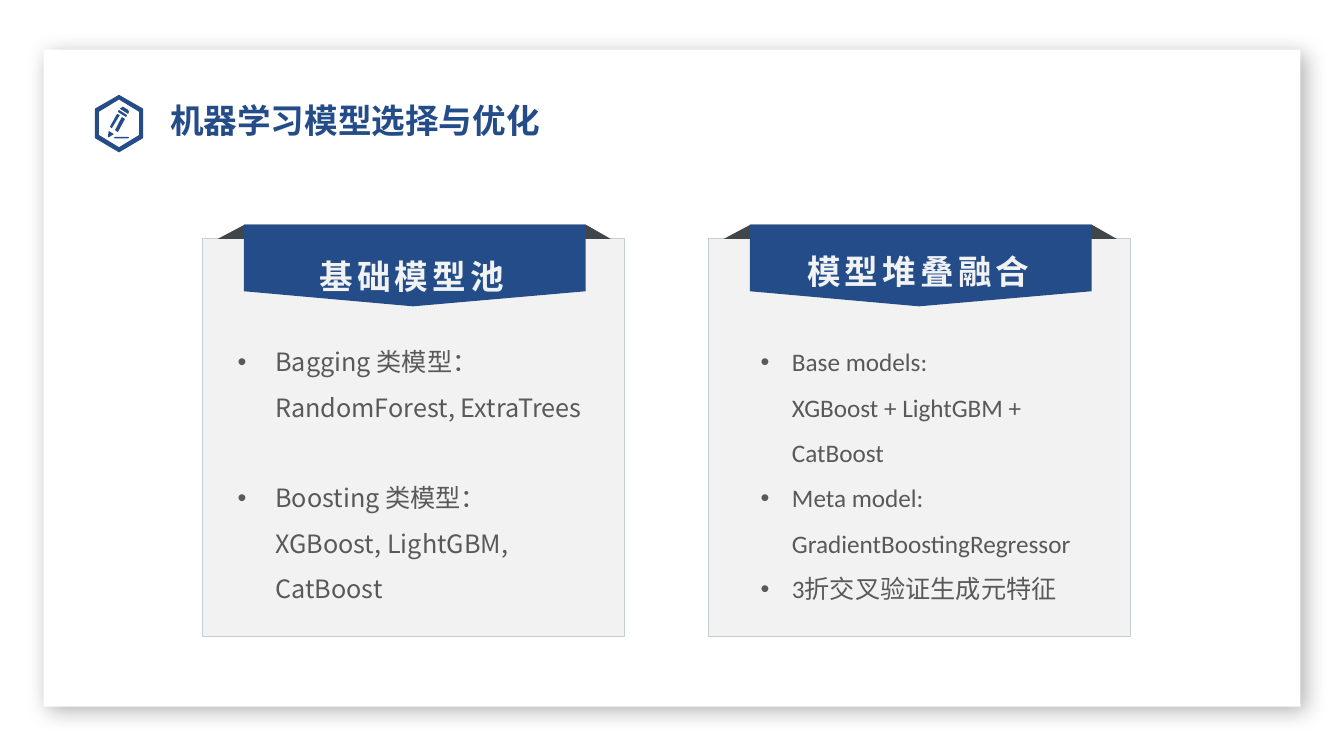
from dataclasses import dataclass

from lxml import etree
from pptx import Presentation
from pptx.dml.color import RGBColor
from pptx.enum.shapes import MSO_SHAPE
from pptx.enum.text import MSO_AUTO_SIZE, PP_ALIGN
from pptx.oxml.ns import qn
from pptx.shapes.autoshape import Shape
from pptx.shapes.shapetree import GroupShapes, SlideShapes
from pptx.text.text import TextFrame
from pptx.util import Cm, Pt

RECTANGLE = MSO_SHAPE.RECTANGLE
JUSTIFY = PP_ALIGN.JUSTIFY
LEFT = PP_ALIGN.LEFT
GROW = MSO_AUTO_SIZE.SHAPE_TO_FIT_TEXT
FIXED = MSO_AUTO_SIZE.NONE

Shapes = SlideShapes | GroupShapes
Point = tuple[float, float]


@dataclass(frozen=True)
class Theme:
    white: str = "FFFFFF"
    blue: str = "244C89"
    fold: str = "41464A"
    card: str = "F2F2F2"
    edge: str = "C6CED5"
    heading: str = "F0F2F4"
    body: str = "595959"
    heading_size: int = 24
    body_size: int = 18
    chinese: str = "Noto Sans CJK SC"
    latin: str = "Calibri"
    title: str = "Lato"


THEME = Theme()


@dataclass(frozen=True)
class Frame:
    """Left, top, width and height in centimetres."""
    left: float
    top: float
    width: float
    height: float

    def lengths(self) -> tuple[Cm, Cm, Cm, Cm]:
        return Cm(self.left), Cm(self.top), Cm(self.width), Cm(self.height)


@dataclass(frozen=True)
class Style:
    font: str
    size: int
    color: str
    bold: bool = False
    tracking: int = 0
    line_spacing: float = 1.0


@dataclass(frozen=True)
class Bullet:
    lines: tuple[str, ...]
    gap: float = 0


@dataclass(frozen=True)
class Card:
    left: float
    heading: str
    heading_frame: Frame
    bullets: tuple[Bullet, ...]
    body_frame: Frame
    font: str
    indent: float


TITLE_STYLE = Style(THEME.title, THEME.heading_size, THEME.blue, True, 0, 0.9)
HEADING_STYLE = Style(THEME.chinese, THEME.heading_size, THEME.heading, True, 3, 1.2)

CARD_TOP, CARD_WIDTH, CARD_HEIGHT = 6.02, 10.64, 10.03
FOLD = [(1.06, 5.66), (9.65, 5.66), (10.28, 6.02), (0.38, 6.02)]
BANNER = [(1.04, 5.66), (9.65, 5.66), (9.65, 7.34), (5.3, 7.72), (1.04, 7.34)]

PENCIL_ICON = [
    [(3.0, 2.39), (3.61, 2.74), (3.61, 3.48), (3.0, 3.84), (2.39, 3.48), (2.39, 2.74)],
    [(3.0, 2.51), (2.49, 2.82), (2.49, 3.4), (3.0, 3.71), (3.51, 3.4), (3.51, 2.82)],
    [(2.9, 3.45), (3.23, 3.45), (3.25, 3.47), (3.23, 3.49), (2.9, 3.49), (2.87, 3.47)],
    [(2.9, 3.28), (3.07, 2.95), (3.15, 3.0), (2.97, 3.33)],
    [(2.77, 3.2), (2.95, 2.87), (3.02, 2.9), (2.82, 3.23)],
    [(2.72, 3.45), (2.74, 3.3), (2.87, 3.38), (2.74, 3.46)],
    [(3.0, 2.77), (2.97, 2.82), (3.18, 2.95), (3.2, 2.9)],
    [(3.05, 2.72), (3.1, 2.69), (3.23, 2.77), (3.25, 2.82), (3.23, 2.87), (3.02, 2.74)],
]

CARDS = [
    Card(5.11, "基础模型池", Frame(7.8, 6.12, 5.33, 1.37), (
        Bullet(("Bagging 类模型：RandomForest, ExtraTrees",)),
        Bullet(("Boosting 类模型：XGBoost, LightGBM, CatBoost",), 32.4),
    ), Frame(5.74, 8.23, 9.37, 7.04), THEME.chinese, 0.95),
    Card(17.86, "模型堆叠融合", Frame(20.09, 5.99, 6.27, 1.37), (
        Bullet(("Base models:", "XGBoost + LightGBM + CatBoost")),
        Bullet(("Meta model: GradientBoostingRegressor",)),
        Bullet(("3折交叉验证生成元特征",)),
    ), Frame(18.92, 8.23, 8.61, 7.06), THEME.latin, 0.79),
]


def rgb(color: str) -> RGBColor:
    return RGBColor.from_string(color)


def paint(shape: Shape, fill: str, line: str | None = None) -> None:
    shape.shadow.inherit = False
    shape.fill.solid()
    shape.fill.fore_color.rgb = rgb(fill)
    if line:
        shape.line.color.rgb = rgb(line)
        shape.line.width = Pt(0.75)
    else:
        shape.line.fill.background()


def add_rectangle(shapes: Shapes, frame: Frame, fill: str, line: str | None = None) -> Shape:
    box = shapes.add_shape(RECTANGLE, *frame.lengths())
    paint(box, fill, line)
    return box


def add_outline(shapes: Shapes, contours: list[list[Point]], fill: str, left: float = 0) -> None:
    """Draw closed contours as one shape, moved right by left."""
    builder = None
    for contour in contours:
        start, *rest = [(Cm(left + x), Cm(y)) for x, y in contour]
        if builder is None:
            builder = shapes.build_freeform(*start)
        else:
            builder.move_to(*start)
        builder.add_line_segments(rest, close=True)
    paint(builder.convert_to_shape(), fill)


def add_drop_shadow(shape: Shape) -> None:
    effects = shape._element.spPr.find(qn("a:effectLst"))
    shadow = etree.SubElement(effects, qn("a:outerShdw"), blurRad=str(Pt(15)),
                              dist=str(Pt(5)), dir=str(45 * 60000), rotWithShape="0")
    color = etree.SubElement(shadow, qn("a:srgbClr"), val="000000")
    etree.SubElement(color, qn("a:alpha"), val="30000")


def add_text(shapes: Shapes, frame: Frame, bullets: tuple[Bullet, ...], style: Style,
             indent: float = 0, wrap: bool = True, grow: bool = True,
             align: PP_ALIGN = LEFT) -> None:
    """Add a text box; a positive indent gives its paragraphs bullets."""
    text: TextFrame = shapes.add_textbox(*frame.lengths()).text_frame
    text.word_wrap = wrap
    text.auto_size = GROW if grow else FIXED
    for number, bullet in enumerate(bullets):
        para = text.add_paragraph() if number else text.paragraphs[0]
        para.alignment = align
        para.line_spacing = style.line_spacing
        if bullet.gap:
            para.space_before = Pt(bullet.gap)
        if indent:
            props = para._p.get_or_add_pPr()
            props.set("marL", str(Cm(indent)))
            props.set("indent", str(-Cm(indent)))
            etree.SubElement(props, qn("a:buFont"), typeface="Arial")
            etree.SubElement(props, qn("a:buChar"), char="•")
        for row, line in enumerate(bullet.lines):
            if row:
                para.add_line_break()
            span = para.add_run()
            span.text = line
            span.font.name = style.font
            span.font.size = Pt(style.size)
            span.font.bold = style.bold
            span.font.color.rgb = rgb(style.color)
            props = span._r.get_or_add_rPr()
            etree.SubElement(props, qn("a:ea"), typeface=THEME.chinese)
            if style.tracking:
                props.set("spc", str(style.tracking * 100))


def add_card(shapes: Shapes, card: Card) -> None:
    parts = shapes.add_group_shape().shapes
    add_rectangle(parts, Frame(card.left, CARD_TOP, CARD_WIDTH, CARD_HEIGHT),
                  THEME.card, THEME.edge)
    add_outline(parts, [FOLD], THEME.fold, card.left)
    add_outline(parts, [BANNER], THEME.blue, card.left)
    add_text(parts, card.heading_frame, (Bullet((card.heading,)),), HEADING_STYLE,
             wrap=False, align=JUSTIFY)
    body_style = Style(card.font, THEME.body_size, THEME.body, line_spacing=1.5)
    add_text(parts, card.body_frame, card.bullets, body_style, card.indent)


def main() -> None:
    deck = Presentation()
    deck.slide_width, deck.slide_height = Cm(33.87), Cm(19.05)
    page = deck.slides.add_slide(deck.slide_layouts[6])
    add_drop_shadow(add_rectangle(page.shapes, Frame(1.1, 1.25, 31.67, 16.56), THEME.white))
    add_outline(page.shapes, PENCIL_ICON, THEME.blue)
    for card in CARDS:
        add_card(page.shapes, card)
    add_text(page.shapes, Frame(4.04, 2.51, 10.08, 1.27),
             (Bullet(("机器学习模型选择与优化",)),), TITLE_STYLE, grow=False)
    deck.save("out.pptx")


if __name__ == "__main__":
    main()
